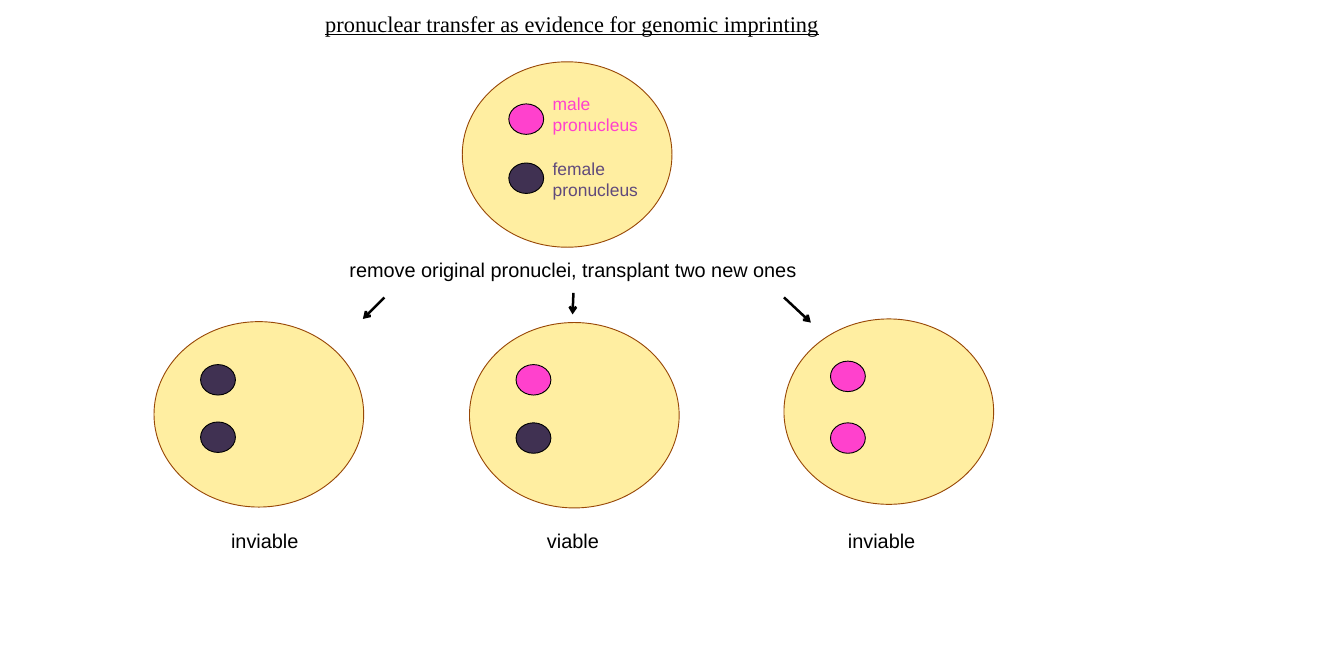
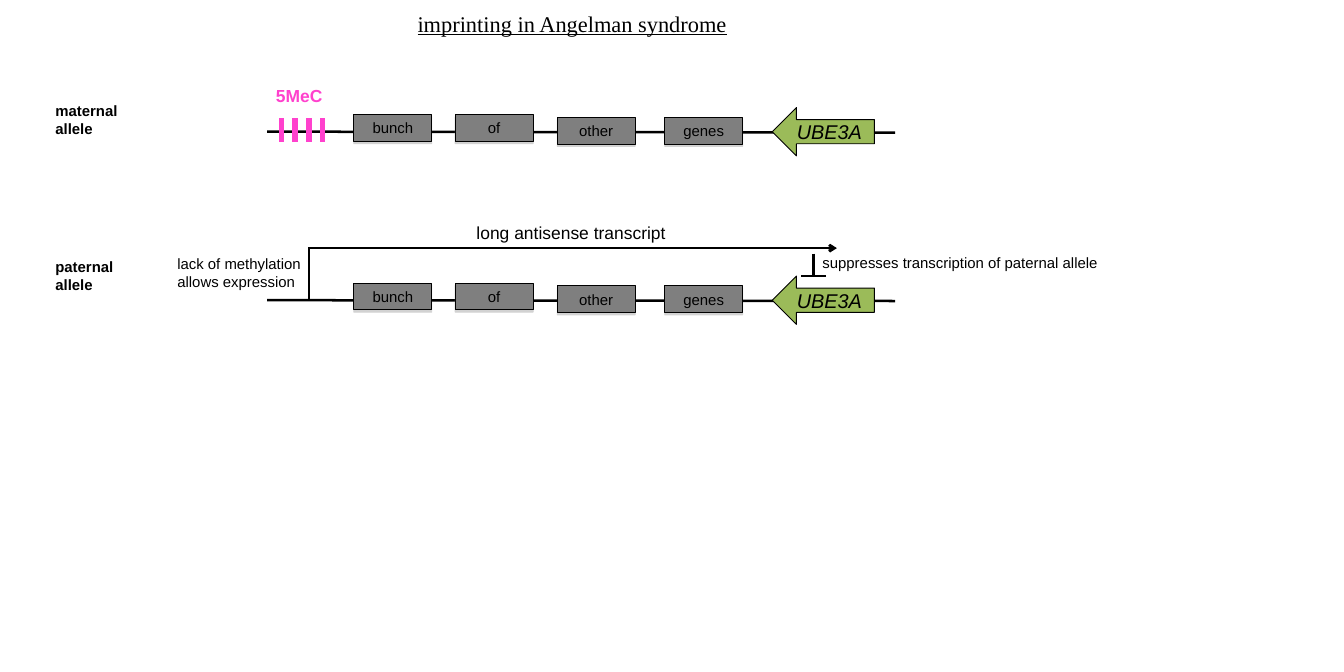
from lxml.etree import SubElement
from pptx import Presentation
from pptx.dml.color import RGBColor
from pptx.enum.shapes import MSO_CONNECTOR, MSO_SHAPE
from pptx.enum.text import MSO_ANCHOR, MSO_AUTO_SIZE, PP_ALIGN
from pptx.oxml.ns import qn
from pptx.util import Pt

BLACK, WHITE = "000000", "FFFFFF"
PINK, PLUM, LILAC = "FF41CD", "403152", "604A7B"
CYTOPLASM, MEMBRANE = "FFEEA1", "984807"
GREY, GREEN, SHADOW = "7F7F7F", "9BBB59", "808080"

# Slide 1: egg left and top, then (colour, top) of each pronucleus
EGG_SIZE = (168.5, 149)
NUCLEUS_SIZE = (28, 24.5)
NUCLEUS_INDENT = 37.4
EGGS = [
    (371.5, 49.7, [(PINK, 83.5), (PLUM, 131)]),
    (377.3, 259.2, [(PINK, 293), (PLUM, 339.8)]),
    (123.8, 258.5, [(PLUM, 293), (PLUM, 339.1)]),
    (630, 256.3, [(PINK, 290.2), (PINK, 339.8)]),
]
NUCLEUS_LABELS = [("male\npronucleus", 71.3, PINK),
                  ("female\npronucleus", 123.8, LILAC)]
TRANSFERS = [(308.9, 239, 291.6, 256.3), (630, 239, 651.6, 259.2),
             (460.8, 235.4, 460.1, 252.7)]
OUTCOMES = [("inviable", 172.8, 79.9), ("viable", 429.1, 62.6),
            ("inviable", 668.9, 79.2)]

# Slide 2: vertical places are measured from the DNA line of each allele
ALLELES = [("maternal\nallele", 78.5, 105.8), ("paternal\nallele", 203.8, 241.2)]
GENES = [("bunch", 284.4, -13.7), ("of", 365.8, -13.7),
         ("other", 447.8, -11.5), ("genes", 534.2, -11.5)]
METHYL_START, METHYL_STEP, METHYL_COUNT = 226.1, 11, 4
PATERNAL_LINES = [
    (247.7, 199.4, 672.5, 199.4, True),
    (248.4, 199.4, 248.4, 240.5, False),
    (653.8, 203.8, 653.8, 221.8, False),
    (663.8, 221.8, 643.7, 221.8, False),
]
NOTES = [
    ("long antisense transcript", (375.8, 175, 200.9, 24.5), 14),
    ("suppresses transcription of paternal allele", (653.8, 200.2, 245.5, 21.6), 12),
    ("lack of methylation allows expression", (135.4, 200.9, 123.8, 36), 12),
]


def rgb(color):
    return RGBColor.from_string(color)


def write(sp, text, size=12, color=BLACK, font="Arial", align=PP_ALIGN.LEFT,
          anchor=MSO_ANCHOR.TOP, bold=False, italic=False, underline=False):
    tf = sp.text_frame
    tf.word_wrap = True
    tf.auto_size = MSO_AUTO_SIZE.NONE
    tf.vertical_anchor = anchor
    tf.margin_left = tf.margin_right = Pt(7.2)
    tf.margin_top = tf.margin_bottom = Pt(3.6)
    tf.text = text
    for p in tf.paragraphs:
        p.alignment = align
        p.font.name, p.font.size = font, Pt(size)
        p.font.color.rgb = rgb(color)
        p.font.bold, p.font.italic, p.font.underline = bold, italic, underline


def add_text(slide, text, box, **fmt):
    write(slide.shapes.add_textbox(*map(Pt, box)), text, **fmt)


def add_shape(slide, kind, box, fill, line=BLACK):
    sp = slide.shapes.add_shape(kind, *map(Pt, box))
    sp.shadow.inherit = False
    sp.fill.solid()
    sp.fill.fore_color.rgb = rgb(fill)
    sp.line.color.rgb = rgb(line)
    sp.line.width = Pt(0.75)
    return sp


def add_line(slide, ends, color=BLACK, width=2, arrow=False):
    cxn = slide.shapes.add_connector(MSO_CONNECTOR.STRAIGHT, *map(Pt, ends))
    cxn.line.color.rgb = rgb(color)
    cxn.line.width = Pt(width)
    if arrow:
        SubElement(cxn.line._get_or_add_ln(), qn("a:tailEnd"), type="arrow")
    SubElement(cxn._element.spPr, qn("a:effectLst"))


def drop_shadow(sp):
    effects = sp._element.spPr.find(qn("a:effectLst"))
    shadow = SubElement(effects, qn("a:outerShdw"), dist=str(Pt(1.8)),
                        dir="5400000", rotWithShape="0")
    color = SubElement(shadow, qn("a:srgbClr"), val=SHADOW)
    SubElement(color, qn("a:alpha"), val="35000")


def add_slide(prs, title):
    slide = prs.slides.add_slide(prs.slide_layouts[5])
    slide.background.fill.solid()
    slide.background.fill.fore_color.rgb = rgb(WHITE)
    sp = slide.shapes.title
    sp.left, sp.top, sp.width, sp.height = map(Pt, (236.2, 4.3, 447.1, 28.8))
    write(sp, title, size=18, font="Times New Roman", align=PP_ALIGN.CENTER,
          underline=True)
    return slide


def build_transfer(prs):
    slide = add_slide(prs, "pronuclear transfer as evidence for genomic imprinting")
    for left, top, nuclei in EGGS:
        add_shape(slide, MSO_SHAPE.OVAL, (left, top, *EGG_SIZE), CYTOPLASM, MEMBRANE)
        for color, nucleus_top in nuclei:
            box = (left + NUCLEUS_INDENT, nucleus_top, *NUCLEUS_SIZE)
            add_shape(slide, MSO_SHAPE.OVAL, box, color)
    for text, top, color in NUCLEUS_LABELS:
        add_text(slide, text, (437, top, 121.7, 41), size=14, color=color)
    add_text(slide, "remove original pronuclei, transplant two new ones",
             (236.9, 203.8, 447.1, 26.6), size=16, align=PP_ALIGN.CENTER)
    for ends in TRANSFERS:
        add_line(slide, ends, arrow=True)
    for text, left, width in OUTCOMES:
        add_text(slide, text, (left, 421.2, width, 26.6), size=16,
                 align=PP_ALIGN.CENTER)


def add_allele(slide, name, name_top, dna):
    centred = {"align": PP_ALIGN.CENTER, "anchor": MSO_ANCHOR.MIDDLE}
    add_text(slide, name, (37.4, name_top, 123.8, 36), bold=True)
    add_line(slide, (214.6, dna, 719.3, dna + 0.7))
    ube3a = add_shape(slide, MSO_SHAPE.LEFT_ARROW,
                      (620.6, dna - 19.4, 82.1, 38.9), GREEN)
    write(ube3a, "UBE3A", size=16, italic=True, **centred)
    for text, left, offset in GENES:
        gene = add_shape(slide, MSO_SHAPE.RECTANGLE,
                         (left, dna + offset, 62.6, 21.6), GREY)
        drop_shadow(gene)
        write(gene, text, **centred)


def build_angelman(prs):
    slide = add_slide(prs, "imprinting in Angelman syndrome")
    for allele in ALLELES:
        add_allele(slide, *allele)
    for i in range(METHYL_COUNT):
        x = METHYL_START + i * METHYL_STEP
        add_line(slide, (x, 95, x, 114.5), color=PINK, width=4.5)
    add_text(slide, "5MeC", (214.6, 64.8, 54.7, 24.5), size=14, color=PINK, bold=True)
    for *ends, arrow in PATERNAL_LINES:
        add_line(slide, ends, arrow=arrow)
    for text, box, size in NOTES:
        add_text(slide, text, box, size=size)


def main():
    prs = Presentation()
    prs.slide_width, prs.slide_height = Pt(1080), Pt(540)
    build_transfer(prs)
    build_angelman(prs)
    prs.save("out.pptx")


if __name__ == "__main__":
    main()
